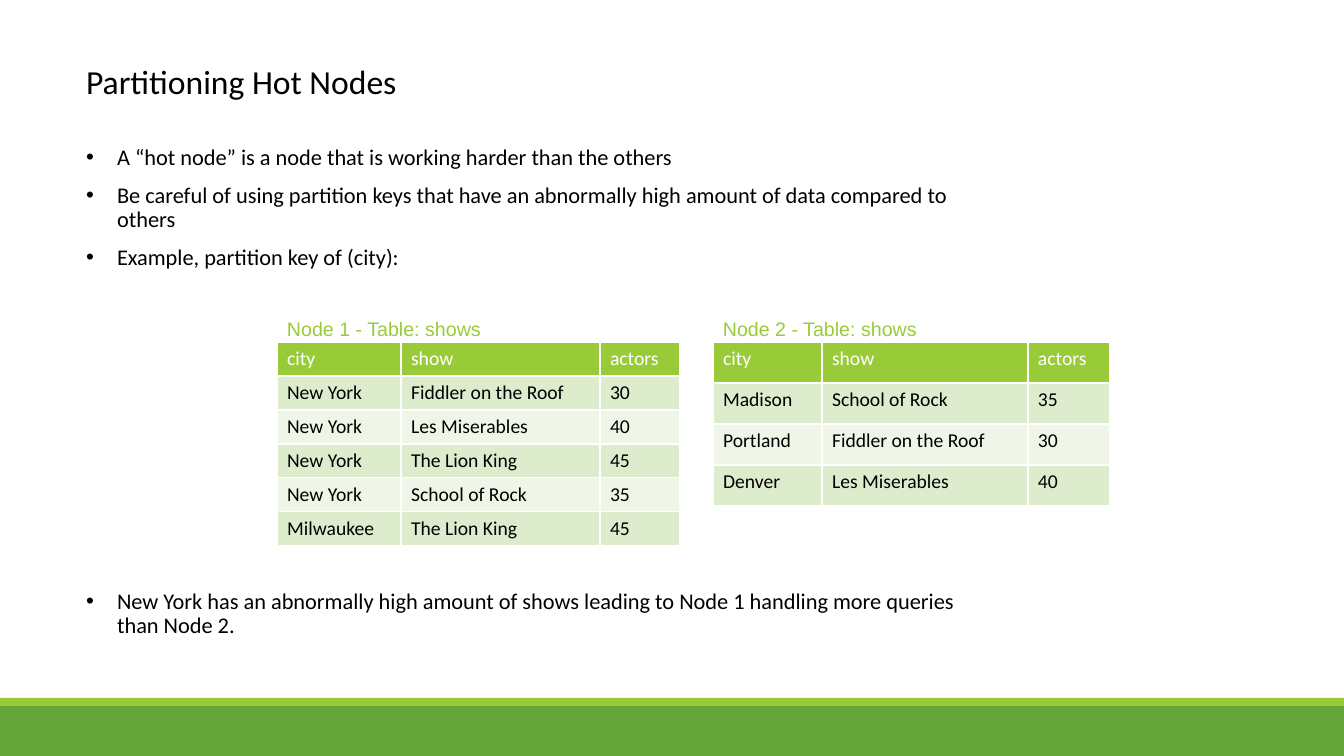
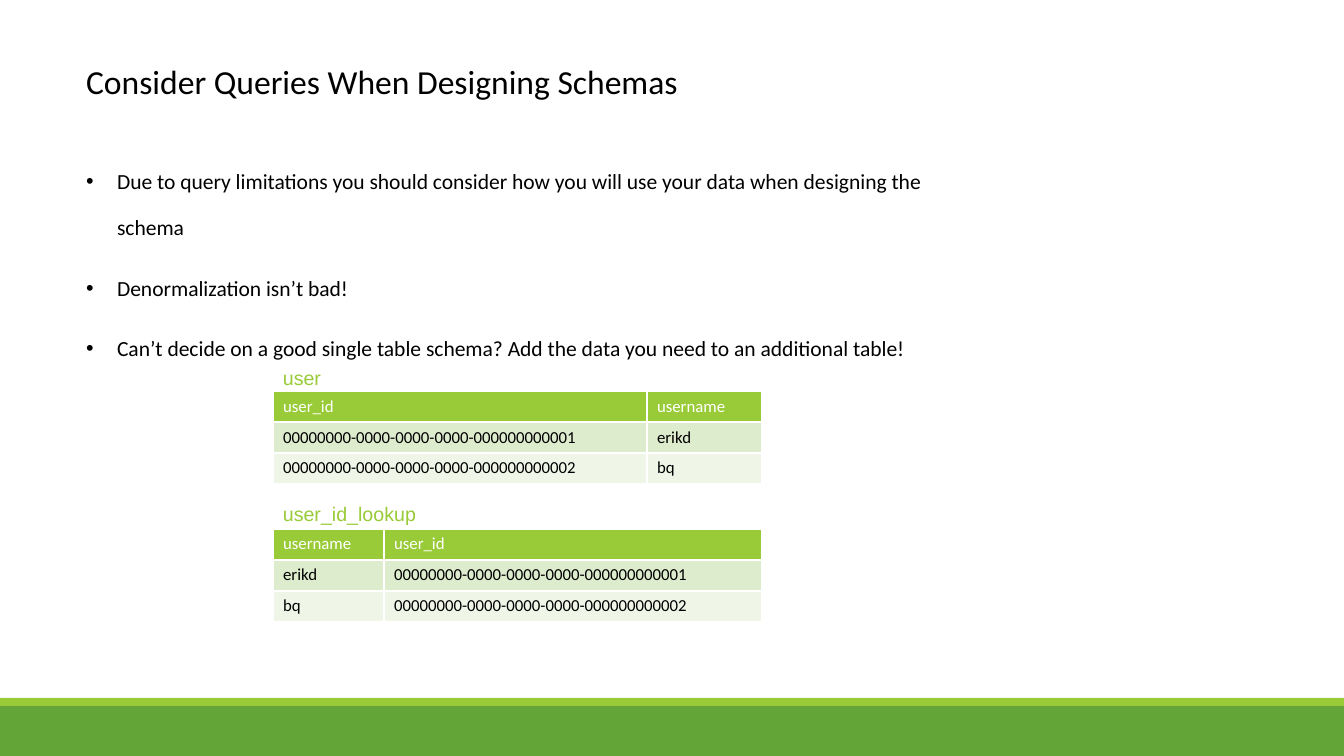
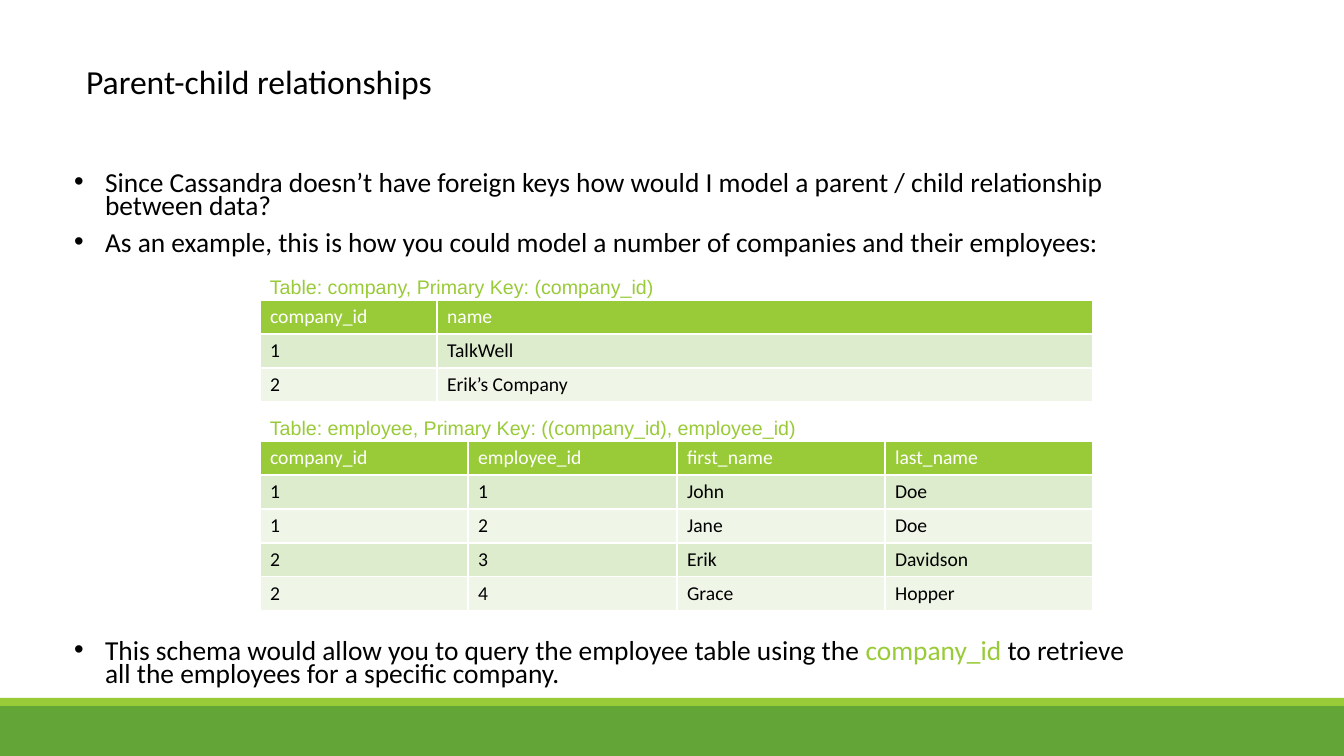
from pptx import Presentation
from pptx.dml.color import RGBColor
from pptx.enum.shapes import MSO_SHAPE
from pptx.enum.text import MSO_ANCHOR, MSO_AUTO_SIZE, PP_ALIGN
from pptx.util import Emu, Pt

RECT = MSO_SHAPE.RECTANGLE
MIDDLE, TOP = MSO_ANCHOR.MIDDLE, MSO_ANCHOR.TOP
FIXED = MSO_AUTO_SIZE.NONE
LEFT = PP_ALIGN.LEFT

WIDE, HIGH = 1344, 756
GREEN, LIME, BLACK, WHITE = "63A537", "99CB38", "000000", "FFFFFF"
ROWS = ["EFF6E8", "DEECCE"]
SANS, LABEL = "Calibri", "Arial"
TITLE = (76, 36, 1030, 96)
HANG = 31
USER_A = "00000000-0000-0000-0000-000000000001"
USER_B = "00000000-0000-0000-0000-000000000002"


def px(count):
    """Turn pixels into EMU."""
    return Emu(round(count * 914400 / 100.8))


def color(text):
    """Turn a hex string into a colour."""
    return RGBColor.from_string(text)


def place(shape, box):
    """Move a shape to a pixel box."""
    shape.left, shape.top, shape.width, shape.height = map(px, box)


def add_run(par, text, size, hue=BLACK, face=SANS):
    """Add one formatted run."""
    run = par.add_run()
    run.text = text
    run.font.size = Pt(size)
    run.font.name = face
    run.font.bold = False
    run.font.color.rgb = color(hue)


def add_bands(slide, layout):
    """Put the two footer bands on the layout."""
    for top, height, hue in [(698, 8, LIME), (706, 50, GREEN)]:
        band = slide.shapes.add_shape(RECT, 0, px(top), px(WIDE), px(height))
        band.shadow.inherit = False
        band.fill.solid()
        band.fill.fore_color.rgb = color(hue)
        band.line.fill.background()
        layout.shapes.element.insert(2, band.element)


def add_topic(deck, title, box, size, pitch, items):
    """Add a slide with a title and bullets given as (gap, runs)."""
    slide = deck.slides.add_slide(deck.slide_layouts[1])
    head, body = slide.placeholders
    place(head, TITLE)
    place(body, box)
    for part, anchor in [(head, MIDDLE), (body, TOP)]:
        frame = part.text_frame
        frame.word_wrap = True
        frame.auto_size = FIXED
        frame.vertical_anchor = anchor
    par = head.text_frame.paragraphs[0]
    par.alignment = LEFT
    par.line_spacing = 0.9
    add_run(par, title, 24)
    frame = body.text_frame
    for index, (gap, runs) in enumerate(items):
        par = frame.add_paragraph() if index else frame.paragraphs[0]
        par.line_spacing = pitch
        par.space_before = Pt(gap)
        props = par._p.get_or_add_pPr()
        props.set("marL", str(px(HANG)))
        props.set("indent", str(-px(HANG)))
        for text, hue in runs:
            add_run(par, text, size, hue)
    return slide


def add_grid(slide, spot, label, cols, pitch, cells, size=14, lift=30):
    """Add a banded table at a spot with its label above."""
    left, top = spot
    width = sum(cols)
    note = slide.shapes.add_textbox(px(left), px(top - lift), px(width), px(30))
    note.text_frame.word_wrap = True
    add_run(note.text_frame.paragraphs[0], label, size=14, hue=LIME, face=LABEL)
    table = slide.shapes.add_table(
        len(cells), len(cols), px(left), px(top), px(width), px(pitch * len(cells))
    ).table
    for col, wide in zip(table.columns, cols):
        col.width = px(wide)
    for r, line in enumerate(cells):
        table.rows[r].height = px(pitch)
        for c, text in enumerate(line):
            cell = table.cell(r, c)
            cell.fill.solid()
            cell.fill.fore_color.rgb = color(ROWS[r % 2] if r else LIME)
            add_run(cell.text_frame.paragraphs[0], text, size, BLACK if r else WHITE)


def add_nodes(deck):
    """Build the hot node slide."""
    slide = add_topic(deck, "Partitioning Hot Nodes", (76, 141, 917, 555), 16, 0.9, [
        (0, [("A “hot node” is a node that is working harder than the others", BLACK)]),
        (10, [("Be careful of using partition keys that have an abnormally high "
               "amount of data compared to others", BLACK)]),
        (10, [("Example, partition key of (city):", BLACK)]),
        (228, [("New York has an abnormally high amount of shows leading to Node 1 "
                "handling more queries than Node 2.", BLACK)]),
    ])
    names = ["city", "show", "actors"]
    add_grid(slide, (277, 342), "Node 1 - Table: shows", [124, 199, 80], 34, [
        names,
        ["New York", "Fiddler on the Roof", "30"],
        ["New York", "Les Miserables", "40"],
        ["New York", "The Lion King", "45"],
        ["New York", "School of Rock", "35"],
        ["Milwaukee", "The Lion King", "45"],
    ])
    add_grid(slide, (713, 342), "Node 2 - Table: shows", [109, 206, 82], 41, [
        names,
        ["Madison", "School of Rock", "35"],
        ["Portland", "Fiddler on the Roof", "30"],
        ["Denver", "Les Miserables", "40"],
    ])
    return slide


def add_schemas(deck):
    """Build the schema design slide."""
    slide = add_topic(
        deck, "Consider Queries When Designing Schemas", (76, 142, 917, 209), 15.4, 1.8, [
            (0, [("Due to query limitations you should consider how you will use your "
                  "data when designing the schema", BLACK)]),
            (10, [("Denormalization isn’t bad!", BLACK)]),
            (10, [("Can’t decide on a good single table schema? Add the data you need "
                   "to an additional table!", BLACK)]),
        ])
    users = [["user_id", "username"], [USER_A, "erikd"], [USER_B, "bq"]]
    add_grid(slide, (273, 391), "user", [374, 115], 31, users, 12)
    add_grid(slide, (273, 529), "user_id_lookup", [111, 378], 31,
             [line[::-1] for line in users], 12, 32)


def add_parents(deck):
    """Build the parent and child slide."""
    slide = add_topic(deck, "Parent-child relationships", (64, 169, 1079, 527), 19.6, 0.7, [
        (0, [("Since Cassandra doesn’t have foreign keys how would I model a parent / "
              "child relationship between data?", BLACK)]),
        (10, [("As an example, this is how you could model a number of companies and "
               "their employees:", BLACK)]),
        (275, [("This schema would allow you to query the employee table using the ", BLACK),
               ("company_id", LIME),
               (" to retrieve all the employees for a specific company.", BLACK)]),
    ])
    add_grid(slide, (260, 300), "Table: company, Primary Key: (company_id)", [177, 656], 34, [
        ["company_id", "name"],
        ["1", "TalkWell"],
        ["2", "Erik’s Company"],
    ])
    add_grid(slide, (260, 441), "Table: employee, Primary Key: ((company_id), employee_id)",
             [208, 209, 208, 208], 34, [
                 ["company_id", "employee_id", "first_name", "last_name"],
                 ["1", "1", "John", "Doe"],
                 ["1", "2", "Jane", "Doe"],
                 ["2", "3", "Erik", "Davidson"],
                 ["2", "4", "Grace", "Hopper"],
             ])


def main():
    """Build and save the deck."""
    deck = Presentation()
    deck.slide_width, deck.slide_height = px(WIDE), px(HIGH)
    first = add_nodes(deck)
    add_bands(first, deck.slide_layouts[1])
    add_schemas(deck)
    add_parents(deck)
    deck.save("out.pptx")


if __name__ == "__main__":
    main()
